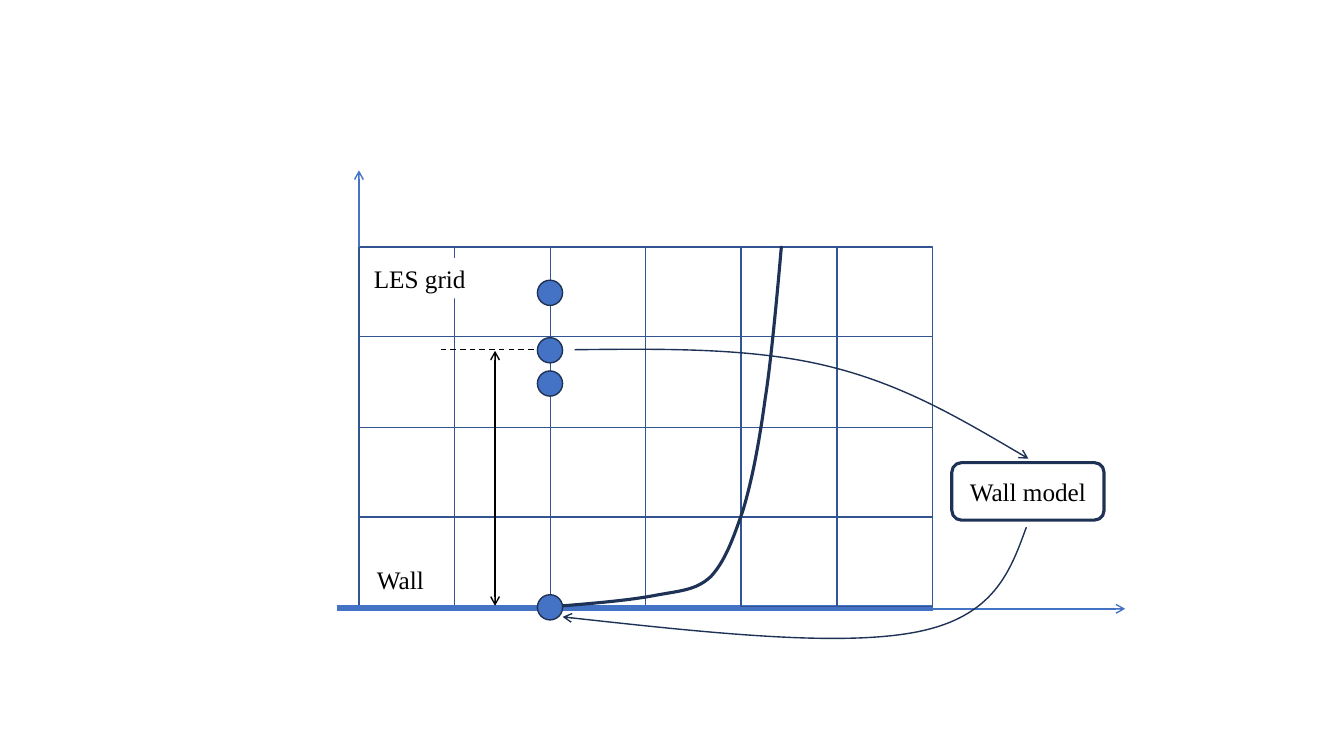
from lxml import etree
from pptx import Presentation
from pptx import util as u
from pptx.dml.color import RGBColor
from pptx.enum import dml, shapes, text
from pptx.oxml.ns import qn

SCALE = 9144
GRID_BLUE, FILL_BLUE, NAVY = "325491", "4472C4", "1E3256"
BLACK, WHITE = "000000", "FFFFFF"
GRID_LEFT, GRID_TOP, GRID_WIDTH, GRID_HEIGHT = 356, 245, 569, 357
COLUMNS, ROWS = 6, 4
DOT_SIZE = 25


def px(*lengths):
    return [u.Emu(length * SCALE) for length in lengths]


def color(hex_string):
    return RGBColor.from_string(hex_string)


class Diagram:
    font_name = "Times New Roman"
    font_size = u.Pt(18)

    def __init__(self, slide):
        self.slide = slide

    def stroke(self, shape, line_color, weight, head=False, tail=False):
        shape.line.color.rgb = color(line_color)
        shape.line.width = u.Pt(weight)
        line = shape.element.spPr.find(qn("a:ln"))
        for wanted, tag in ((head, "a:headEnd"), (tail, "a:tailEnd")):
            if wanted:
                etree.SubElement(line, qn(tag)).set("type", "arrow")

    def paint(self, shape, fill):
        if fill:
            shape.fill.solid()
            shape.fill.fore_color.rgb = color(fill)
        else:
            shape.fill.background()

    def shape(self, kind, left, top, width, height, line_color, weight=1, fill=None):
        shape = self.slide.shapes.add_shape(kind, *px(left, top, width, height))
        shape.shadow.inherit = False
        self.paint(shape, fill)
        self.stroke(shape, line_color, weight)
        return shape

    def set_text(self, shape, words, align):
        paragraph = shape.text_frame.paragraphs[0]
        paragraph.text = words
        paragraph.alignment = align
        paragraph.font.name = self.font_name
        paragraph.font.size = self.font_size
        paragraph.font.color.rgb = color(BLACK)

    def label(self, words, left, top, width, height):
        box = self.slide.shapes.add_textbox(*px(left, top, width, height))
        self.paint(box, WHITE)
        box.text_frame.word_wrap = True
        box.text_frame.auto_size = text.MSO_AUTO_SIZE.SHAPE_TO_FIT_TEXT
        self.set_text(box, words, text.PP_ALIGN.LEFT)

    def line(self, start, end, line_color, weight=1, head=False, tail=False, dash=None):
        line = self.slide.shapes.add_connector(
            shapes.MSO_CONNECTOR.STRAIGHT, *px(*start, *end))
        self.stroke(line, line_color, weight, head, tail)
        if dash:
            line.line.dash_style = dash
        etree.SubElement(line.element.spPr, qn("a:effectLst"))

    def curve(self, start, points, weight, tail=False):
        builder = self.slide.shapes.build_freeform(*start, scale=SCALE)
        builder.add_line_segments(points, close=False)
        curve = builder.convert_to_shape()
        segments = list(curve.element.iter(qn("a:lnTo")))
        for index in range(0, len(segments), 3):
            first, *others = segments[index:index + 3]
            bezier = etree.Element(qn("a:cubicBezTo"))
            first.addprevious(bezier)
            for segment in (first, *others):
                bezier.append(segment[0])
                segment.getparent().remove(segment)
        curve.shadow.inherit = False
        self.paint(curve, None)
        self.stroke(curve, NAVY, weight, tail=tail)

    def grid(self, columns):
        xs = [round(GRID_LEFT + GRID_WIDTH * i / COLUMNS) for i in range(COLUMNS + 1)]
        ys = [round(GRID_TOP + GRID_HEIGHT * i / ROWS) for i in range(ROWS + 1)]
        for column in columns:
            for top, bottom in zip(ys, ys[1:]):
                left = xs[column]
                self.shape(shapes.MSO_SHAPE.RECTANGLE, left, top,
                           xs[column + 1] - left, bottom - top, GRID_BLUE)


def main():
    presentation = Presentation()
    presentation.slide_width, presentation.slide_height = px(1333, 750)
    diagram = Diagram(presentation.slides.add_slide(presentation.slide_layouts[6]))

    diagram.grid(range(4))
    diagram.line((334, 603), (925, 603), FILL_BLUE, 4.5)
    diagram.grid(range(4, COLUMNS))
    diagram.line((491, 348), (491, 601), BLACK, head=True, tail=True)
    diagram.label("Wall", 364, 555, 73, 40)
    diagram.label("LES grid", 361, 256, 128, 40)
    diagram.line((830, 604), (1116, 604), FILL_BLUE, tail=True)
    diagram.line((GRID_LEFT, GRID_TOP), (GRID_LEFT, 169), FILL_BLUE, tail=True)

    diagram.curve((546, 602), [
        (583, 599), (621, 596), (648, 591),
        (674, 586), (690, 586), (705, 572),
        (719, 557), (727, 535), (737, 506),
        (746, 476), (753, 439), (759, 395),
        (766, 352), (775, 244), (775, 244)], 2.25)
    diagram.line((437, 347), (533, 347), BLACK, dash=dml.MSO_LINE.DASH)
    for top in (590, 278, 368, 335):
        diagram.shape(shapes.MSO_SHAPE.OVAL, 533, top, DOT_SIZE, DOT_SIZE,
                      NAVY, fill=FILL_BLUE)

    model = diagram.shape(shapes.MSO_SHAPE.ROUNDED_RECTANGLE, 944, 459, 151, 57, NAVY, 2.25)
    model.text_frame.vertical_anchor = text.MSO_ANCHOR.MIDDLE
    diagram.set_text(model, "Wall model", text.PP_ALIGN.CENTER)
    diagram.curve((570, 347), [
        (658, 346), (746, 345), (820, 363),
        (895, 381), (957, 418), (1020, 455)], 1, tail=True)
    diagram.curve((1018, 523), [
        (1002, 567), (986, 612), (909, 627),
        (832, 642), (695, 627), (558, 612)], 1, tail=True)

    presentation.save("out.pptx")


if __name__ == "__main__":
    main()
